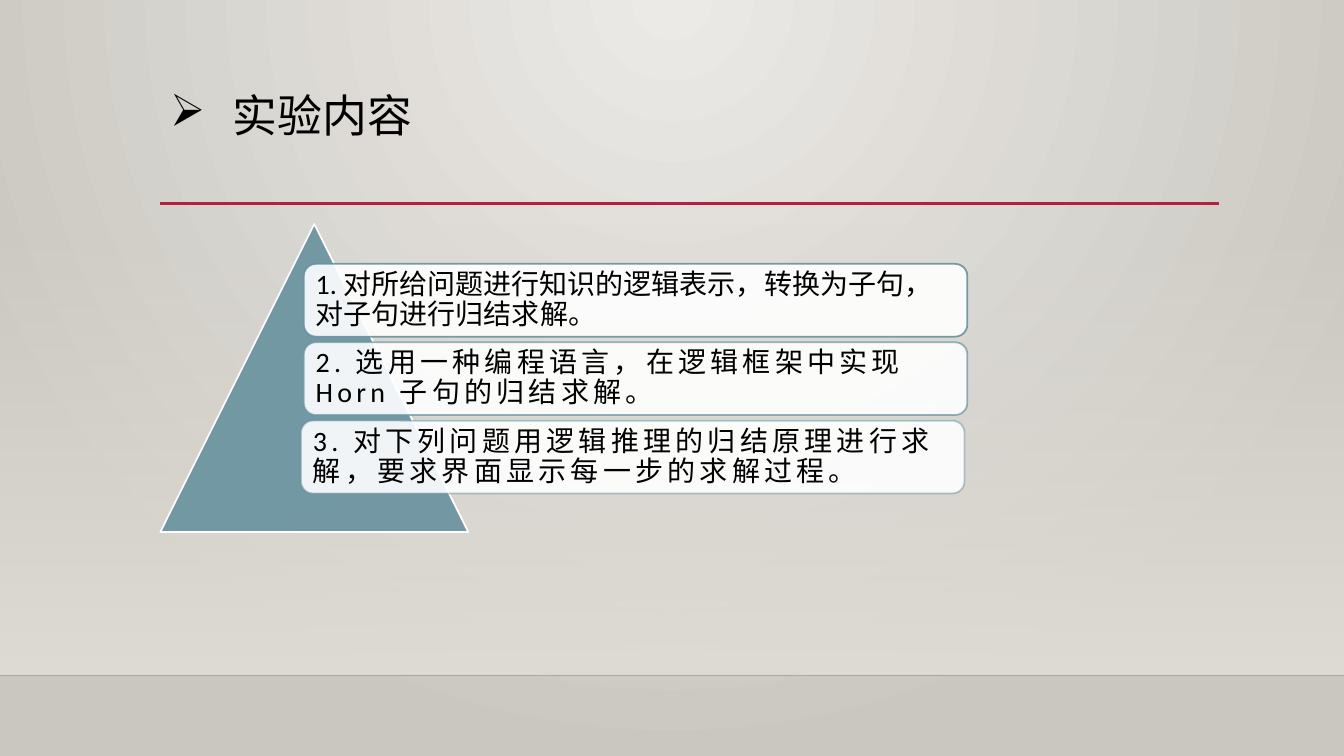
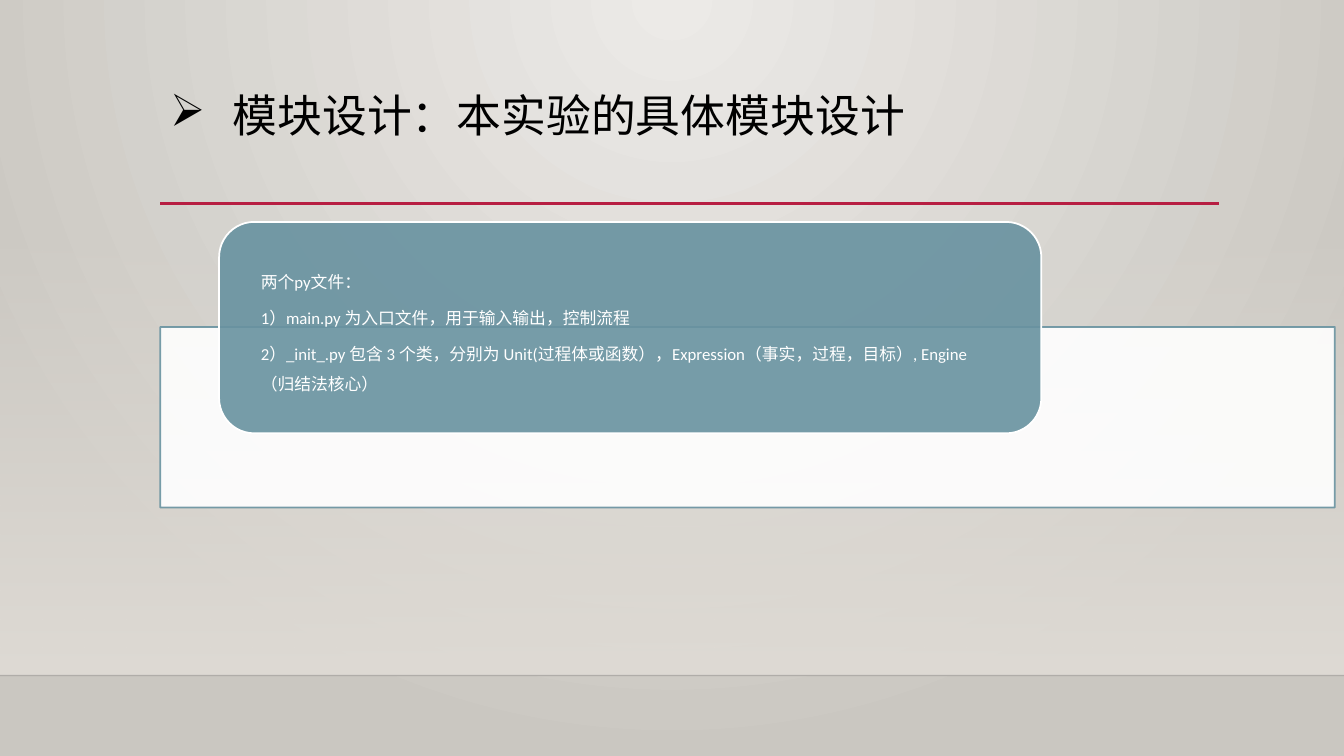
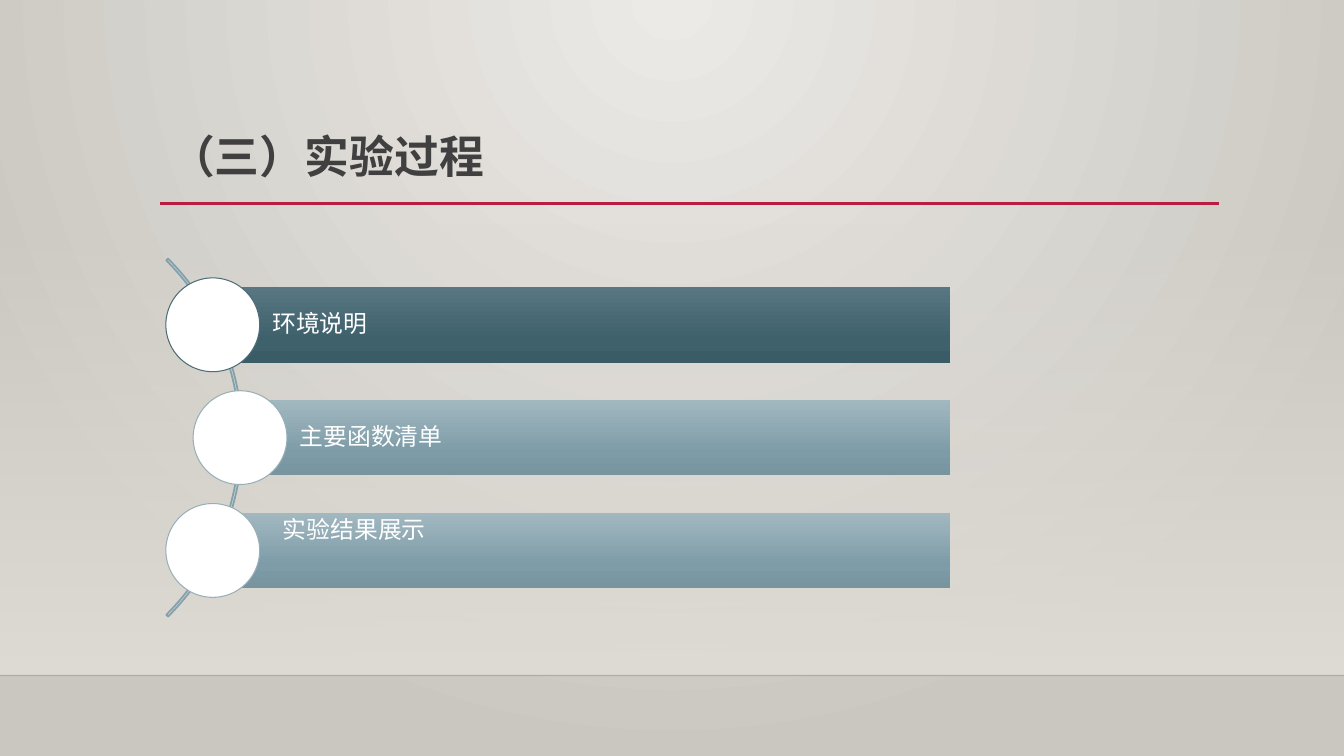
from pptx import Presentation
from pptx.dml.color import RGBColor
from pptx.enum.shapes import MSO_CONNECTOR as CONN, MSO_SHAPE as SHAPE
from pptx.enum.text import MSO_ANCHOR as ANCHOR, PP_ALIGN as ALIGN
from pptx.oxml import parse_xml
from pptx.oxml.ns import nsdecls, qn
from pptx.util import Pt

TEAL, WHITE, BLACK, GREY, CRIMSON = "6892A0", "FFFFFF", "000000", "404040", "B71E42"
DARK_BAR = [(0, "587782"), (69, "3E616C"), (100, "3A5C67")]
LIGHT_BAR = [(0, "A2B8C0"), (69, "7D9CA8"), (100, "77949F")]
DOWN = '<a:lin ang="5400000" scaled="0"/>'
SPOT = '<a:path path="circle"><a:fillToRect l="43000" r="43000" b="100000"/></a:path>'
LEFT, RIGHT = 114.5, 871
TITLE_BOX = (LEFT, 63.5, 756, 83)
SECTION_BOX = (LEFT, 93, 756, 57)


def rgb(value):
    return RGBColor.from_string(value)


def element(xml):
    name = xml[1:].split()[0].rstrip("/>")
    return parse_xml(xml.replace(name, f"{name} {nsdecls('a')}", 1))


def assign(obj, values):
    for name, value in values.items():
        setattr(obj, name, value)


def paint(fill, parent, color, alpha=100):
    fill.solid()
    fill.fore_color.rgb = rgb(color)
    if alpha < 100:
        parent.find(qn("a:solidFill"))[0].append(
            element(f'<a:alpha val="{alpha * 1000}"/>'))


def paint_gradient(fill, root, stops, shade=DOWN):
    fill.gradient()
    old = next(root.iter(qn("a:gradFill")))
    marks = "".join(
        f'<a:gs pos="{pos * 1000}"><a:srgbClr val="{color}">'
        + "".join(f'<a:alpha val="{a * 1000}"/>' for a in alpha)
        + "</a:srgbClr></a:gs>" for pos, color, *alpha in stops)
    old.getparent().replace(old, element(
        f'<a:gradFill rotWithShape="1"><a:gsLst>{marks}</a:gsLst>{shade}</a:gradFill>'))


def stroke(sp, color, width, alpha=100):
    sp.line.width = Pt(width)
    paint(sp.line.fill, sp.element.spPr.find(qn("a:ln")), color, alpha)


def add_shape(s, kind, box, fill=None, line=None, alpha=100):
    sp = s.shapes.add_shape(kind, *map(Pt, box))
    sp.shadow.inherit = False
    if isinstance(fill, list):
        paint_gradient(sp.fill, sp.element, fill)
    elif fill:
        paint(sp.fill, sp.element.spPr, fill, alpha)
    else:
        sp.fill.background()
    if line:
        stroke(sp, *line)
    else:
        sp.line.fill.background()
    return sp


def add_line(s, x1, x2, y, *line):
    c = s.shapes.add_connector(CONN.STRAIGHT, Pt(x1), Pt(y), Pt(x2), Pt(y))
    stroke(c, *line)
    c.element.spPr.append(element("<a:effectLst/>"))


def write(sp, lines, size, color, insets, anchor=ANCHOR.MIDDLE, spacing=0.9,
          after=0, tracking=0, bold=False, bullet=None):
    tf = sp.text_frame
    sides = ("margin_left", "margin_top", "margin_right", "margin_bottom")
    assign(tf, dict(zip(sides, map(Pt, insets)), word_wrap=True, vertical_anchor=anchor))
    for i, line in enumerate(lines):
        p = tf.add_paragraph() if i else tf.paragraphs[0]
        if bullet:
            pPr = p._p.get_or_add_pPr()
            pPr.set("marL", str(Pt(44.6)))
            pPr.set("indent", str(-Pt(44.6)))
            pPr.append(element(f'<a:buChar char="{bullet}"/>'))
        assign(p, {"alignment": ALIGN.LEFT, "line_spacing": spacing,
                   "space_after": Pt(after)})
        r = p.add_run()
        r.text = line
        assign(r.font, {"name": "Calibri", "size": Pt(size), "bold": bold})
        r.font.color.rgb = rgb(color)
        if tracking:
            r._r.get_or_add_rPr().set("spc", str(tracking * 100))


def add_slide(prs, title, box, **style):
    s = prs.slides.add_slide(prs.slide_layouts[6])
    add_shape(s, SHAPE.RECTANGLE, (0, 159, 960, 323.5),
              [(0, "DFDBD5", 0), (100, "DFDBD5")])
    add_line(s, 0, 960, 482.5, "000001", 1, 20)
    add_line(s, LEFT, RIGHT, 145.5, CRIMSON, 2.5)
    write(s.shapes.add_textbox(*map(Pt, box)), [title], 32,
          insets=(7.2, 3.6, 7.2, 3.6), anchor=ANCHOR.TOP, **style)
    return s


def add_pyramid(s, x, y, side, items):
    add_shape(s, SHAPE.ISOSCELES_TRIANGLE, (x, y, side, side), TEAL, (WHITE, 1.25), 90)
    for i, (text, shift, tracking) in enumerate(items):
        card = add_shape(s, SHAPE.ROUNDED_RECTANGLE,
                         (x + 102.5 + shift, y + 28.5 + 56 * i, 474, 52),
                         WHITE, (TEAL, 1.25, 90 - 20 * i), 90)
        write(card, [text], 20, BLACK, (6, 6, 6, 6), tracking=tracking)


def add_callout(s, x, y, width, height, lines):
    add_shape(s, SHAPE.RECTANGLE, (x, y, width, height), WHITE, (TEAL, 1.25, 90), 90)
    tab = add_shape(s, SHAPE.ROUNDED_RECTANGLE, (x + 42, y - 75, width * 0.7, 151),
                    TEAL, (WHITE, 1.25), 90)
    write(tab, lines, 12, WHITE, (22.4, 0, 22.4, 0), spacing=1.5, after=4)


def add_arc_list(s, x, y, width, items):
    height, pitch, d = 54, 80.6, 67
    side = 361.5
    middle = y + pitch + height / 2
    arc = add_shape(s, SHAPE.BLOCK_ARC, (x - 340.5, middle - side / 2, side, side),
                    line=("83A1AD", 1.25))
    for i, value in enumerate((189, 27, 0.005)):
        arc.adjustments[i] = value
    for i, (text, shift, stops, edge, inset, anchor) in enumerate(items):
        left, top = x + shift, y + pitch * i
        bar = add_shape(s, SHAPE.RECTANGLE, (left, top, width - shift, height), stops)
        write(bar, [text], 17, WHITE, (inset, 3.6, 3.6, 3.6), anchor)
        add_shape(s, SHAPE.OVAL, (left - d / 2, top + height / 2 - d / 2, d, d),
                  WHITE, (edge, 0.75))


def main():
    prs = Presentation()
    assign(prs, {"slide_width": Pt(960), "slide_height": Pt(540)})
    master = prs.slide_master
    paint_gradient(master.background.fill, master.element,
                   [(0, "ECEAE7"), (100, "CAC7C1")], SPOT)

    s = add_slide(prs, "实验内容", TITLE_BOX, color=BLACK, bullet="➢")
    add_pyramid(s, LEFT, 160, 220, [
        ("1. 对所给问题进行知识的逻辑表示，转换为子句，对子句进行归结求解。", 0, 0),
        ("2. 选用一种编程语言，在逻辑框架中实现 Horn 子句的归结求解。", 0, 3),
        ("3. 对下列问题用逻辑推理的归结原理进行求解，要求界面显示每一步的求解过程。", -2, 3),
    ])

    s = add_slide(prs, "模块设计：本实验的具体模块设计", TITLE_BOX, color=BLACK, bullet="➢")
    add_callout(s, LEFT, 233.5, 839, 129, [
        "两个py文件：",
        "1）main.py 为入口文件，用于输入输出，控制流程",
        "2）_init_.py 包含 3 个类，分别为 Unit(过程体或函数），"
        "Expression（事实，过程，目标）, Engine（归结法核心）",
    ])

    s = add_slide(prs, "（三）实验过程", SECTION_BOX, color=GREY, bold=True)
    add_arc_list(s, 152, 205, 526.5, [
        ("环境说明", 0, DARK_BAR, "4D6C76", 42.5, ANCHOR.MIDDLE),
        ("主要函数清单", 19.5, LIGHT_BAR, "99AFB7", 42.5, ANCHOR.MIDDLE),
        ("实验结果展示", 0, LIGHT_BAR, "99AFB7", 50, ANCHOR.TOP),
    ])
    prs.save("out.pptx")


if __name__ == "__main__":
    main()
